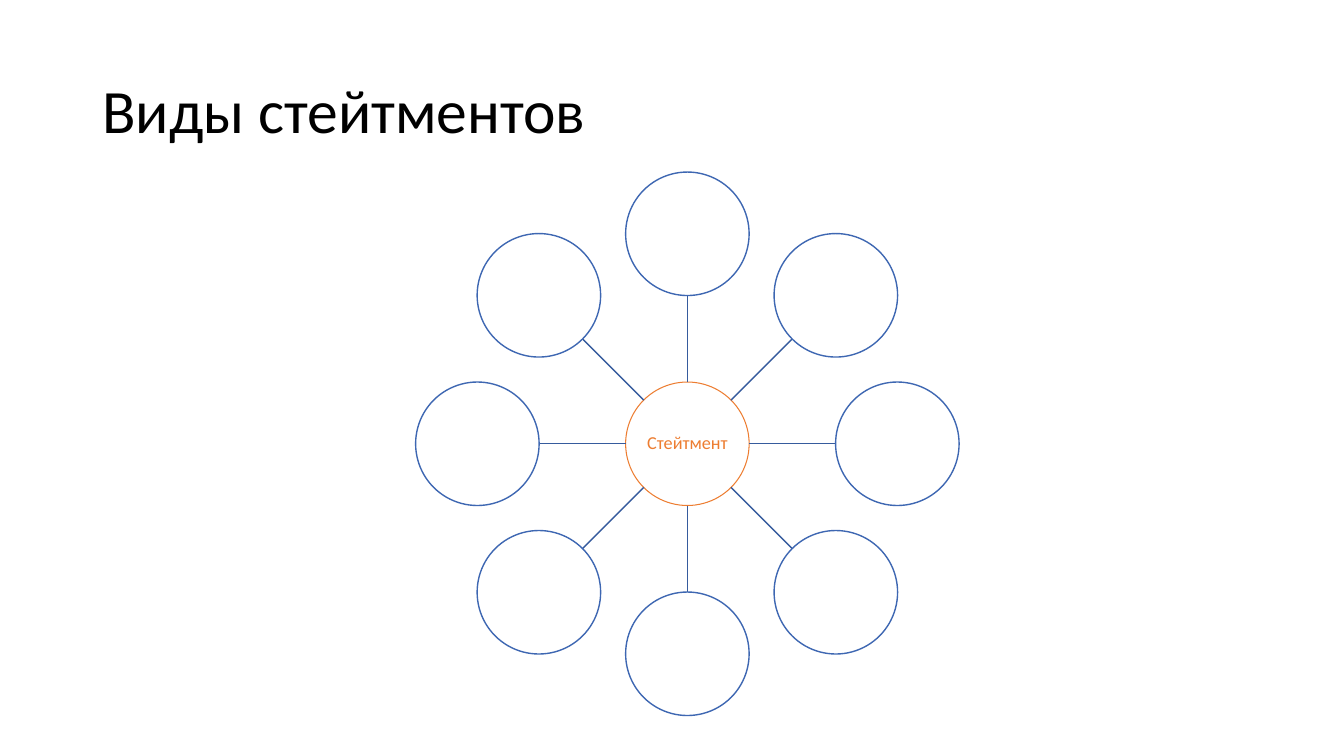
from math import cos, radians, sin

from lxml.etree import SubElement
from pptx import Presentation
from pptx.dml.color import RGBColor
from pptx.enum.shapes import MSO_CONNECTOR, MSO_SHAPE
from pptx.enum.text import MSO_ANCHOR, PP_ALIGN
from pptx.oxml.ns import qn
from pptx.util import Pt

BLACK = RGBColor(0x00, 0x00, 0x00)
WHITE = RGBColor(0xFF, 0xFF, 0xFF)
ORANGE = RGBColor(0xED, 0x7D, 0x31)
BLUE = RGBColor(0x3E, 0x67, 0xB2)
SPOKE_BLUE = RGBColor(0x36, 0x5B, 0x9D)

HUB_X, HUB_Y = 491, 317
RADIUS = 44.1
ORBIT = 150
KINDS = 8


class RadialSlide:
    font = "Calibri"

    def __init__(self, slide):
        self.slide = slide

    def set_text(self, frame, text, size, color):
        frame.text = text
        frame.vertical_anchor = MSO_ANCHOR.MIDDLE
        paragraph = frame.paragraphs[0]
        paragraph.line_spacing = 0.9
        font = paragraph.runs[0].font
        font.name = self.font
        font.size = Pt(size)
        font.color.rgb = color
        return paragraph

    def title(self, text, left, top, width, height):
        heading = self.slide.shapes.title
        heading.left, heading.top = Pt(left), Pt(top)
        heading.width, heading.height = Pt(width), Pt(height)
        self.set_text(heading.text_frame, text, 44, BLACK).alignment = PP_ALIGN.LEFT

    def circle(self, x, y, color, weight):
        """Draw a circle centred on x, y."""
        disc = self.slide.shapes.add_shape(
            MSO_SHAPE.OVAL, Pt(x - RADIUS), Pt(y - RADIUS), Pt(2 * RADIUS), Pt(2 * RADIUS))
        disc.shadow.inherit = False
        disc.fill.solid()
        disc.fill.fore_color.rgb = WHITE
        disc.line.color.rgb = color
        disc.line.width = Pt(weight)
        return disc

    def hub(self, text):
        frame = self.circle(HUB_X, HUB_Y, ORANGE, 0.75).text_frame
        frame.margin_left = frame.margin_right = Pt(0.7)
        frame.margin_top = frame.margin_bottom = Pt(0.7)
        frame.word_wrap = False
        self.set_text(frame, text, 13, ORANGE).alignment = PP_ALIGN.CENTER

    def spoke(self, angle):
        """Join the hub to an outer circle, both edge to edge."""
        dx, dy = cos(angle), sin(angle)
        inner, outer = RADIUS, ORBIT - RADIUS
        link = self.slide.shapes.add_connector(
            MSO_CONNECTOR.STRAIGHT,
            Pt(HUB_X + inner * dx), Pt(HUB_Y + inner * dy),
            Pt(HUB_X + outer * dx), Pt(HUB_Y + outer * dy))
        link.line.color.rgb = SPOKE_BLUE
        link.line.width = Pt(1)
        SubElement(link._element.spPr, qn("a:effectLst"))

    def satellite(self, angle):
        self.circle(HUB_X + ORBIT * cos(angle), HUB_Y + ORBIT * sin(angle), BLUE, 1)


def main():
    deck = Presentation()
    deck.slide_width, deck.slide_height = Pt(960), Pt(540)
    page = RadialSlide(deck.slides.add_slide(deck.slide_layouts[5]))
    page.title("Виды стейтментов", 66, 28.75, 828, 104.4)
    page.hub("Стейтмент")
    for i in range(KINDS):
        angle = radians(-90 + i * 360 / KINDS)
        page.spoke(angle)
        page.satellite(angle)
    deck.save("out.pptx")


if __name__ == "__main__":
    main()
